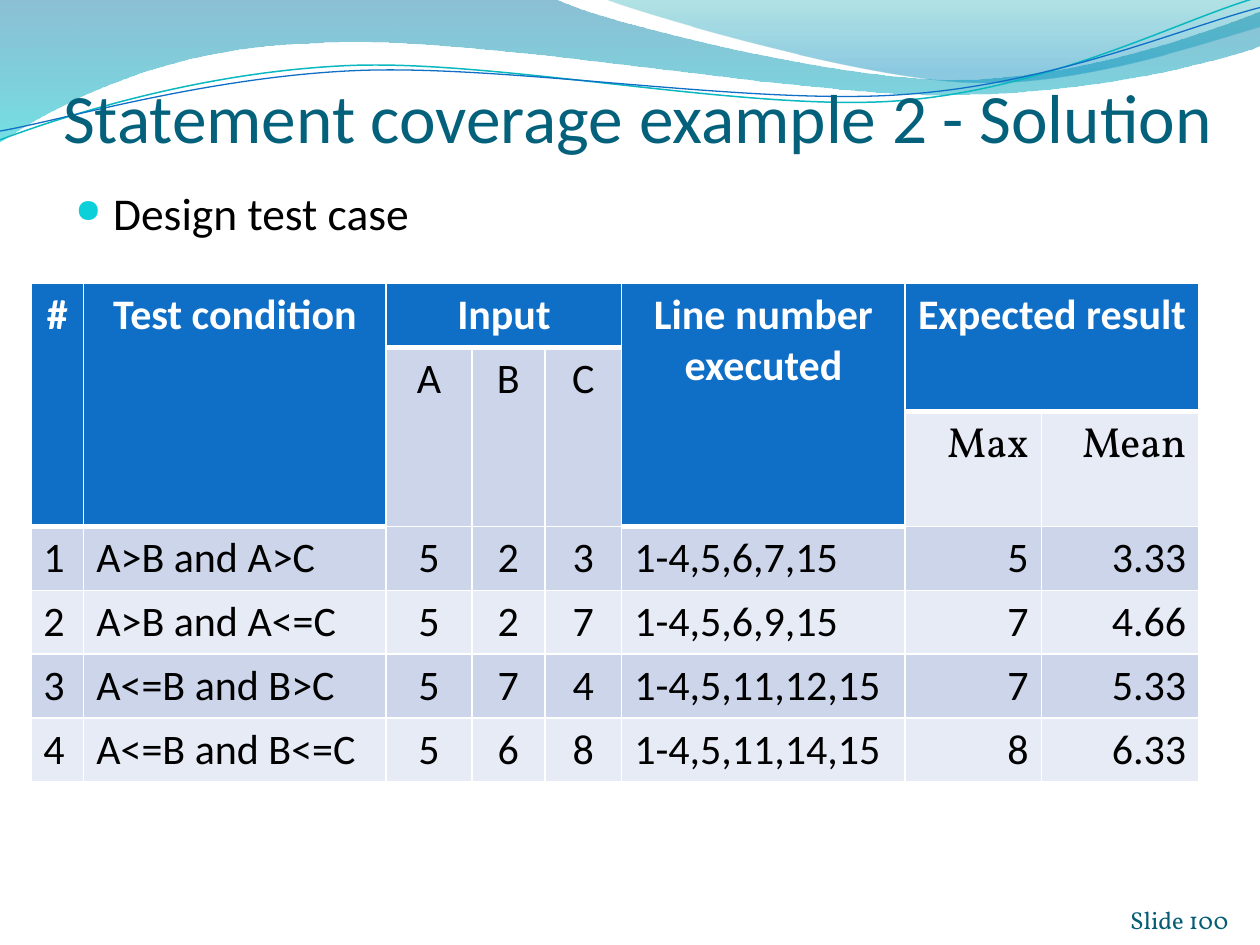
import math

from pptx import Presentation
from pptx import util as u
from pptx.dml.color import RGBColor
from pptx.enum import text
from pptx.oxml import ns, xmlchemy

PX = 9144
SANS, SERIF = "Calibri", "Vollkorn"
BLUE, DARK, PALE, WHITE, BLACK = "0F6FC6", "CCD5EA", "E7EBF5", "FFFFFF", "000000"
LEFT, MID, RIGHT = text.PP_ALIGN.LEFT, text.PP_ALIGN.CENTER, text.PP_ALIGN.RIGHT


def px(n):
    return u.Emu(round(n * PX))


def tint(code):
    return RGBColor.from_string(code)


def node(host, tag, **attrs):
    item = xmlchemy.OxmlElement(tag)
    for key, value in attrs.items():
        item.set(key, str(value))
    host.append(item)
    return item


def write(para, words, size, color, font=SANS, bold=False, align=LEFT):
    para.alignment = align
    run = para.add_run()
    run.text = words
    run.font.size = u.Pt(size)
    run.font.name = font
    run.font.bold = bold
    run.font.color.rgb = tint(color)


def place(shape, box):
    shape.left, shape.top, shape.width, shape.height = map(px, box)


def set_frame(frame, left, top, right, bottom, anchor):
    frame.word_wrap = True
    frame.auto_size = text.MSO_AUTO_SIZE.NONE
    frame.vertical_anchor = anchor
    frame.margin_left, frame.margin_top = px(left), px(top)
    frame.margin_right, frame.margin_bottom = px(right), px(bottom)


def bend(shape, parts):
    lines = iter(list(shape._element.spPr.iter(ns.qn("a:lnTo"))))
    for part in parts:
        first = next(lines)
        if len(part) == 2:
            continue
        curve = xmlchemy.OxmlElement("a:cubicBezTo")
        first.addprevious(curve)
        for line in (first, next(lines), next(lines)):
            curve.append(line[0])
            line.getparent().remove(line)


def draw(shapes, box, start, parts, close, turn=0):
    left, top, wide, high = box
    mid_x, mid_y = left + wide / 2, top + high / 2
    cos, sin = math.cos(math.radians(turn)), math.sin(math.radians(turn))
    flat = [*start, *(n for part in parts for n in part)]
    points = []
    for x, y in zip(flat[::2], flat[1::2]):
        x, y = x - mid_x, y - mid_y
        points.append((px(mid_x + x * cos + y * sin), px(mid_y + y * cos - x * sin)))
    pen = shapes.build_freeform(*points[0], scale=1.0)
    pen.add_line_segments(points[1:], close=close)
    shape = pen.convert_to_shape()
    bend(shape, parts)
    shape.rotation = turn
    shape.shadow.inherit = False
    return shape


def add_band(shapes, box, start, parts, stops):
    shape = draw(shapes, box, start, parts, True)
    shape.line.fill.background()
    shape.fill.gradient()
    shape.fill.gradient_angle = 270
    for stop, (spot, color, alpha) in zip(shape.fill.gradient_stops, stops):
        stop.position = spot
        stop.color.rgb = tint(color)
    marks = list(shape._element.spPr.iter(ns.qn("a:srgbClr")))
    for mark, (spot, color, alpha) in zip(marks, stops):
        node(mark, "a:alpha", val=alpha * 1000)


def add_wave(shapes, box, start, parts, color, width):
    shape = draw(shapes, box, start, parts, False, 357.3)
    shape.fill.background()
    shape.line.color.rgb = tint(color)
    shape.line.width = u.Pt(width)


def add_decor(slide):
    add_band(slide.shapes, (-1, -1, 1002, 114), (0, 0), [
        (440, -1), (476, 17, 664, 63, 758, 63), (853, 63, 958, 26, 1000, 9),
        (1001, 36), (983, 44, 870, 76, 746, 75), (622, 75, 382, 28, 257, 34),
        (129, 36, 46, 83, -1, 113)],
        [(0, "0074A1", 45), (1, "00C6CF", 55)])
    add_band(slide.shapes, (479, -1, 521, 70), (479, -1), [
        (509, 11, 682, 62, 769, 65), (856, 69, 961, 32, 1000, 21), (1000, 0)],
        [(0, "00A1A9", 30), (0.8, "008BBF", 45)])
    waves = slide.shapes.add_group_shape().shapes
    add_wave(waves, (-2, 22, 1002, 71), (0, 111), [
        (48, 93, 158, 57, 277, 52), (395, 47, 593, 89, 713, 80),
        (833, 71, 938, 15, 998, -2)], "0AB8BF", 0.85)
    add_wave(waves, (-2, 30, 1003, 58), (0, 104), [
        (47, 96, 164, 61, 283, 56), (403, 51, 597, 84, 717, 75),
        (836, 67, 941, 21, 1000, 6)], BLUE, 0.75)


def add_title(slide, box):
    title = slide.shapes.title
    place(title, box)
    set_frame(title.text_frame, 0, 5, 0, 0, text.MSO_ANCHOR.BOTTOM)
    write(title.text_frame.paragraphs[0], "Statement coverage example 2 - Solution",
          39.6, "04617B")
    slide.shapes._spTree.append(title._element)


def add_body(slide, box):
    frame = slide.shapes.add_textbox(*map(px, box)).text_frame
    set_frame(frame, 10, 5, 10, 5, text.MSO_ANCHOR.TOP)
    para = frame.paragraphs[0]
    props = para._p.get_or_add_pPr()
    props.set("marL", str(px(30)))
    props.set("indent", str(px(-30)))
    node(node(props, "a:buClr"), "a:srgbClr", val="0BD0D9")
    node(props, "a:buSzPct", val=72000)
    node(props, "a:buChar", char="●")
    write(para, "Design test case", 26, BLACK)


def add_foot(slide, box):
    frame = slide.shapes.add_textbox(*map(px, box)).text_frame
    set_frame(frame, 0, 0, 0, 0, text.MSO_ANCHOR.BOTTOM)
    write(frame.paragraphs[0], "Slide 100", 14, "045D75", SERIF, align=RIGHT)


def edge(cell, sides):
    props = cell._tc.get_or_add_tcPr()
    for i, (side, width) in enumerate(sides.items()):
        line = xmlchemy.OxmlElement("a:" + side)
        line.set("w", str(u.Pt(width)))
        node(node(line, "a:solidFill"), "a:srgbClr", val=WHITE)
        props.insert(i, line)


def fill_cell(cell, words, back, align, color=BLACK, font=SANS, bold=False):
    cell.fill.solid()
    cell.fill.fore_color.rgb = tint(back)
    write(cell.text_frame.paragraphs[0], words, 24, color, font, bold, align)


def add_grid(slide, box):
    cols = [42, 240, 68, 58, 61, 225, 108, 125]
    rows = [41, 15, 43] + [41] * 4
    heads = [(0, 0, 2, "#"), (1, 0, 2, "Test condition"), (2, 2, 0, "Input"),
             (5, 0, 2, "Line number executed"), (6, 1, 1, "Expected result")]
    tests = [("1", "A>B and A>C", "5", "2", "3", "1-4,5,6,7,15", "5", "3.33"),
             ("2", "A>B and A<=C", "5", "2", "7", "1-4,5,6,9,15", "7", "4.66"),
             ("3", "A<=B and B>C", "5", "7", "4", "1-4,5,11,12,15", "7", "5.33"),
             ("4", "A<=B and B<=C", "5", "6", "8", "1-4,5,11,14,15", "8", "6.33")]
    aligns = [LEFT, LEFT, MID, MID, MID, LEFT, RIGHT, RIGHT]
    holder = slide.shapes.add_table(len(rows), len(cols), *map(px, box))
    grid = holder.table
    for col, width in zip(grid.columns, cols):
        col.width = px(width)
    for row, height in zip(grid.rows, rows):
        row.height = px(height)
    place(holder, box)
    thick = set()
    for col, wide, tall, words in heads:
        cell = grid.cell(0, col)
        cell.merge(grid.cell(tall, col + wide))
        fill_cell(cell, words, BLUE, MID, WHITE, bold=True)
        thick |= {(r, c) for r in range(tall + 1) for c in range(col, col + wide + 1)}
    for col, words in enumerate("ABC", 2):
        grid.cell(1, col).merge(grid.cell(2, col))
        fill_cell(grid.cell(1, col), words, DARK, MID)
    for col, words in enumerate(("Max", "Mean"), 6):
        fill_cell(grid.cell(2, col), words, PALE, RIGHT, font=SERIF)
    for row, test in enumerate(tests, 3):
        for col, words in enumerate(test):
            fill_cell(grid.cell(row, col), words, DARK if row % 2 else PALE, aligns[col])
    for row in range(len(rows)):
        for col in range(len(cols)):
            edge(grid.cell(row, col),
                 {"lnL": 1, "lnR": 1, "lnB": 3 if (row, col) in thick else 1})


def main():
    deck = Presentation()
    deck.slide_width, deck.slide_height = px(1000), px(750)
    slide = deck.slides.add_slide(deck.slide_layouts[5])
    add_decor(slide)
    add_title(slide, (50, 42, 917, 83))
    add_body(slide, (50, 142, 917, 575))
    add_foot(slide, (892, 702, 83, 40))
    add_grid(slide, (24.5, 225, 928, 315))
    deck.save("out.pptx")


if __name__ == "__main__":
    main()
